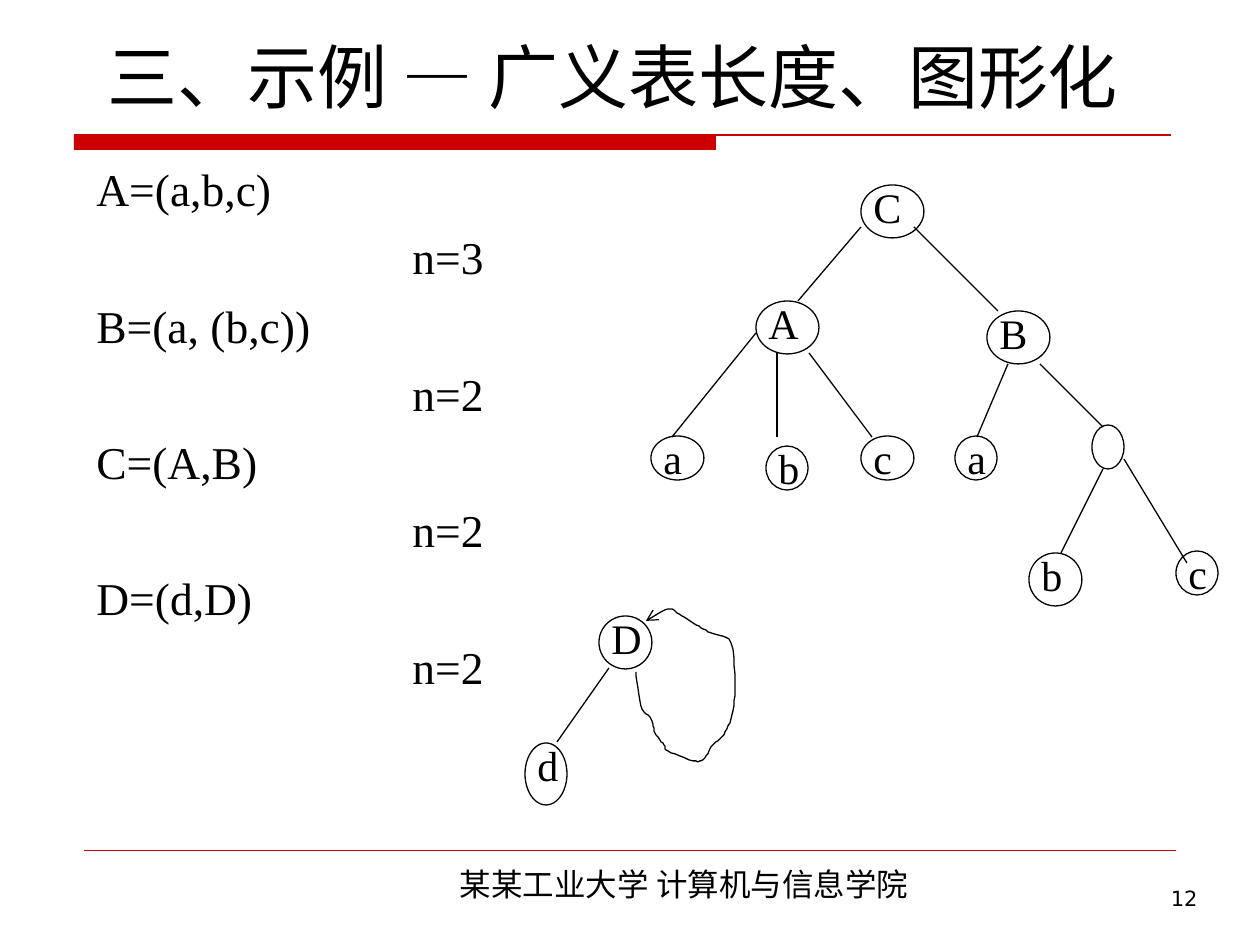
from lxml.etree import SubElement
from pptx import Presentation
from pptx.dml.color import RGBColor
from pptx.enum.shapes import MSO_CONNECTOR, MSO_SHAPE
from pptx.enum.text import MSO_ANCHOR, MSO_AUTO_SIZE, PP_ALIGN
from pptx.oxml.ns import qn
from pptx.util import Pt

PX = 914400 // 126
COLORS = {"ink": "000000", "red": "CC0000"}
SERIF, SANS, CJK = "Times New Roman", "DejaVu Sans", "Noto Sans CJK SC"
LABEL_LIFT = 10

NODES = [
    ("C", 861, 185, 63, 53), ("A", 756, 301, 63, 53), ("B", 987, 311, 63, 53),
    ("a", 651, 436, 53, 44), ("b", 766, 446, 42, 44), ("c", 861, 436, 53, 44),
    ("", 1092, 425, 32, 44), ("a", 955, 436, 42, 44), ("b", 1029, 553, 53, 53),
    ("c", 1176, 551, 42, 44), ("D", 599, 616, 53, 53), ("d", 525, 743, 42, 62),
]
EDGES = [
    (861, 227, 798, 301), (914, 227, 998, 311), (756, 333, 672, 437),
    (777, 353, 777, 437), (809, 353, 872, 437), (1008, 364, 977, 437),
    (1040, 364, 1103, 427), (1103, 469, 1061, 553), (1124, 459, 1187, 563),
    (609, 668, 557, 742),
]
LOOP = [
    (636, 672), (641, 706), (651, 719), (655, 733), (664, 745), (668, 751),
    (693, 761), (704, 759), (711, 747), (722, 737), (731, 719), (735, 690),
    (731, 643), (711, 633), (696, 625), (679, 614), (668, 609), (646, 621),
]
LISTS = [("A=(a,b,c)", 3), ("B=(a, (b,c))", 2), ("C=(A,B)", 2), ("D=(d,D)", 2)]


def box(x, y, w, h):
    return [v * PX for v in (x, y, w, h)]


def rgb(name):
    return RGBColor.from_string(COLORS[name])


def write(p, text, size, font=SERIF, align=PP_ALIGN.LEFT, before=0, indent=0):
    p.alignment, p.space_before = align, Pt(before)
    p._p.get_or_add_pPr().set("marL", str(indent * PX))
    r = p.add_run()
    r.text = text
    r.font.size, r.font.name, r.font.color.rgb = Pt(size), font, rgb("ink")
    SubElement(r._r.get_or_add_rPr(), qn("a:ea")).set("typeface", CJK)


def text_box(s, x, y, w, h):
    tf = s.shapes.add_textbox(*box(x, y, w, h)).text_frame
    tf.word_wrap = True
    return tf


def outline(sp, color="ink", width=0.74):
    sp.line.color.rgb, sp.line.width = rgb(color), Pt(width)


def line(s, x1, y1, x2, y2, color="ink", width=0.74):
    cx = s.shapes.add_connector(MSO_CONNECTOR.STRAIGHT, *box(x1, y1, x2, y2))
    outline(cx, color, width)
    SubElement(cx._element.spPr, qn("a:effectLst"))


def node(s, label, x, y, w, h):
    sp = s.shapes.add_shape(MSO_SHAPE.OVAL, *box(x, y, w, h))
    sp.shadow.inherit = False
    sp.fill.background()
    outline(sp)
    if label:
        tf = text_box(s, x, y - LABEL_LIFT, w, 63)
        write(tf.paragraphs[0], label, 24)


def smooth_points(points, steps=6):
    ends = [points[0], *points, points[-1]]
    for a, b, c, d in zip(ends, ends[1:], ends[2:], ends[3:]):
        for i in range(1, steps + 1):
            t = i / steps
            yield tuple(
                0.5 * (2 * q + (r - p) * t + (2 * p - 5 * q + 4 * r - u) * t ** 2
                       + (3 * q - p - 3 * r + u) * t ** 3)
                for p, q, r, u in zip(a, b, c, d))


def loop_arrow(s, points):
    fb = s.shapes.build_freeform(*points[0], scale=PX)
    fb.add_line_segments(list(smooth_points(points)), close=False)
    sp = fb.convert_to_shape()
    sp.shadow.inherit = False
    sp.fill.background()
    outline(sp)
    SubElement(sp.line._get_or_add_ln(), qn("a:tailEnd")).set("type", "arrow")


def title(s, text):
    sp = s.shapes.title
    sp.left, sp.top, sp.width, sp.height = box(95, 16, 1103, 108)
    tf = sp.text_frame
    tf.auto_size, tf.vertical_anchor = MSO_AUTO_SIZE.NONE, MSO_ANCHOR.BOTTOM
    write(tf.paragraphs[0], text, 40, SANS)


def rules(s):
    bar = s.shapes.add_shape(MSO_SHAPE.RECTANGLE, *box(74, 135, 642, 15))
    bar.shadow.inherit = False
    bar.fill.solid()
    bar.fill.fore_color.rgb = rgb("red")
    bar.line.fill.background()
    line(s, 74, 135, 1171, 135, "red")
    line(s, 84, 850, 1176, 850, "red", 0.26)


def list_lengths(s):
    tf = text_box(s, 84, 155, 475, 694)
    p = tf.paragraphs[0]
    for i, (definition, length) in enumerate(LISTS):
        if i:
            p = tf.add_paragraph()
        write(p, definition, 26, before=7.8)
        write(tf.add_paragraph(), f"n={length}", 26, before=7.8, indent=316)


def main():
    prs = Presentation()
    prs.slide_width, prs.slide_height = 1260 * PX, 945 * PX
    s = prs.slides.add_slide(prs.slide_layouts[5])
    rules(s)
    title(s, "三、示例 — 广义表长度、图形化")
    list_lengths(s)
    for item in NODES:
        node(s, *item)
    for edge in EDGES:
        line(s, *edge)
    loop_arrow(s, LOOP)
    footer = text_box(s, 302, 859, 764, 50)
    write(footer.paragraphs[0], "某某工业大学 计算机与信息学院", 18, CJK, PP_ALIGN.CENTER)
    number = text_box(s, 937, 879, 273, 66)
    write(number.paragraphs[0], "12", 12, SANS, PP_ALIGN.RIGHT)
    prs.save("out.pptx")


main()
